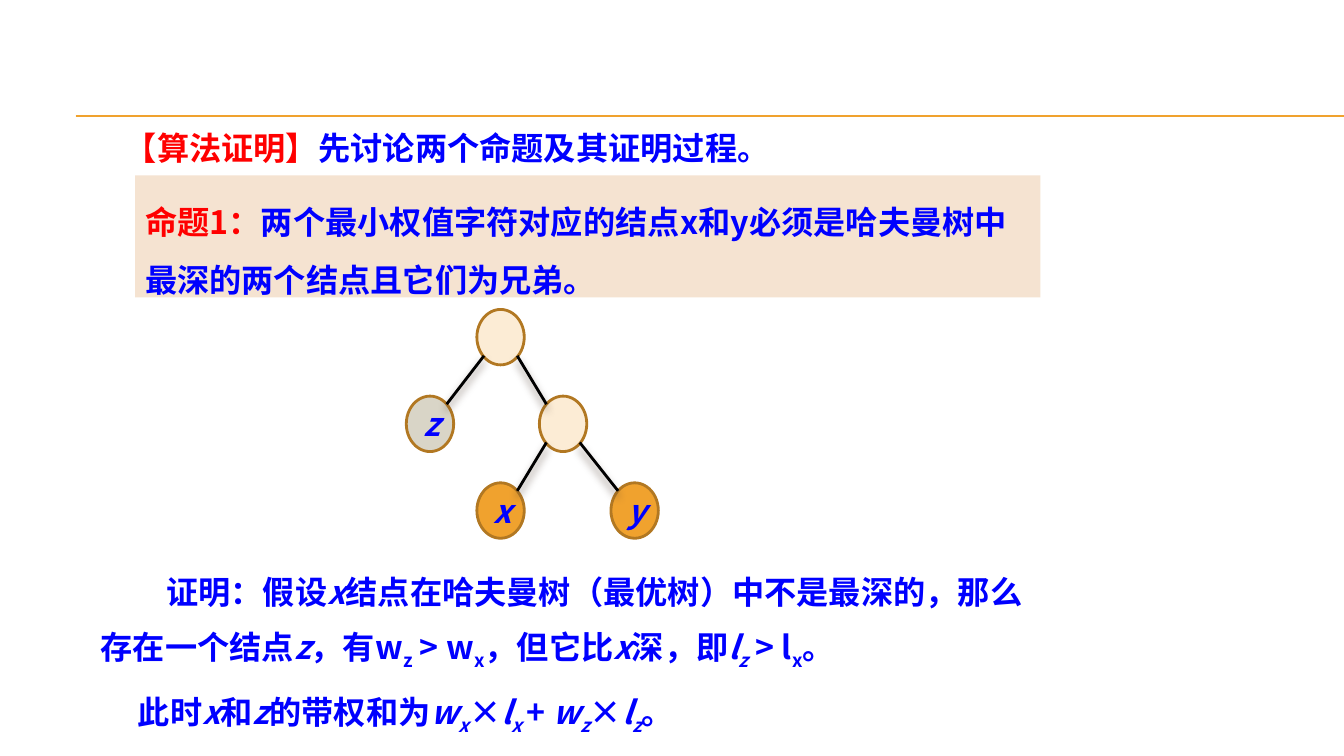
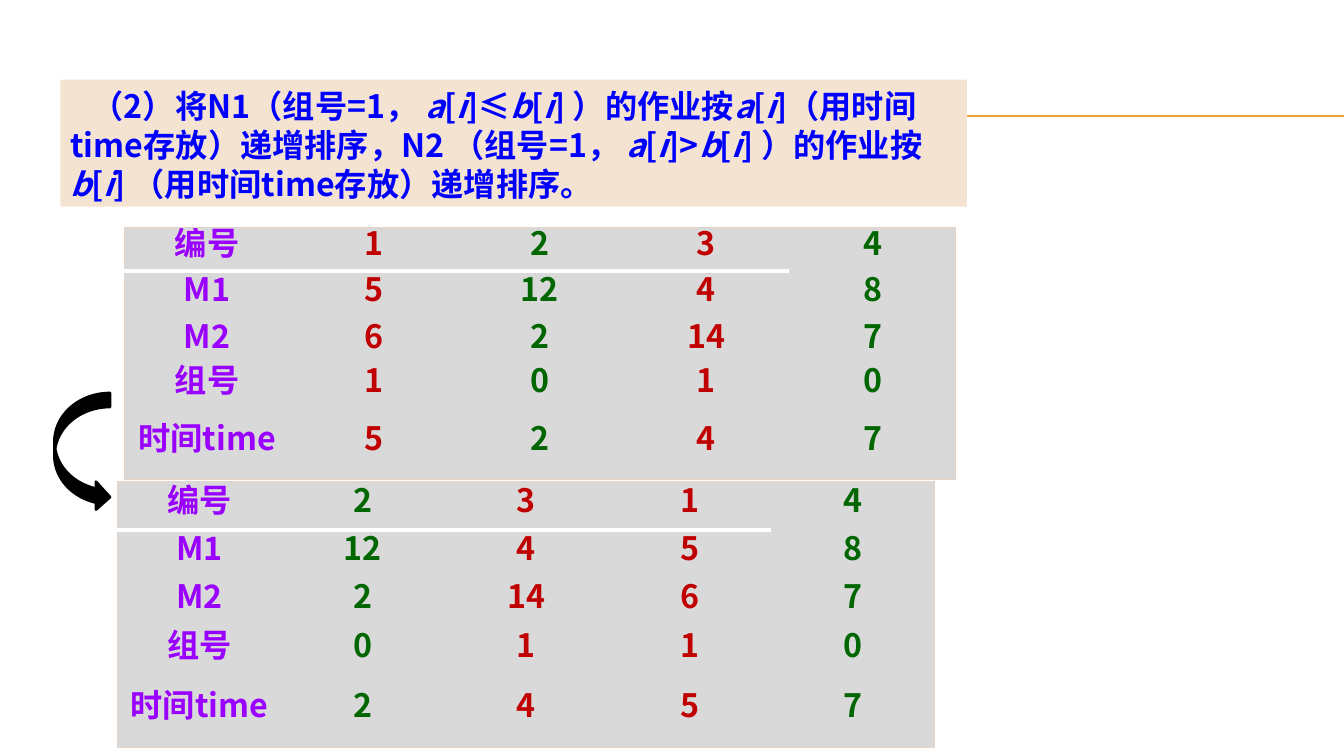
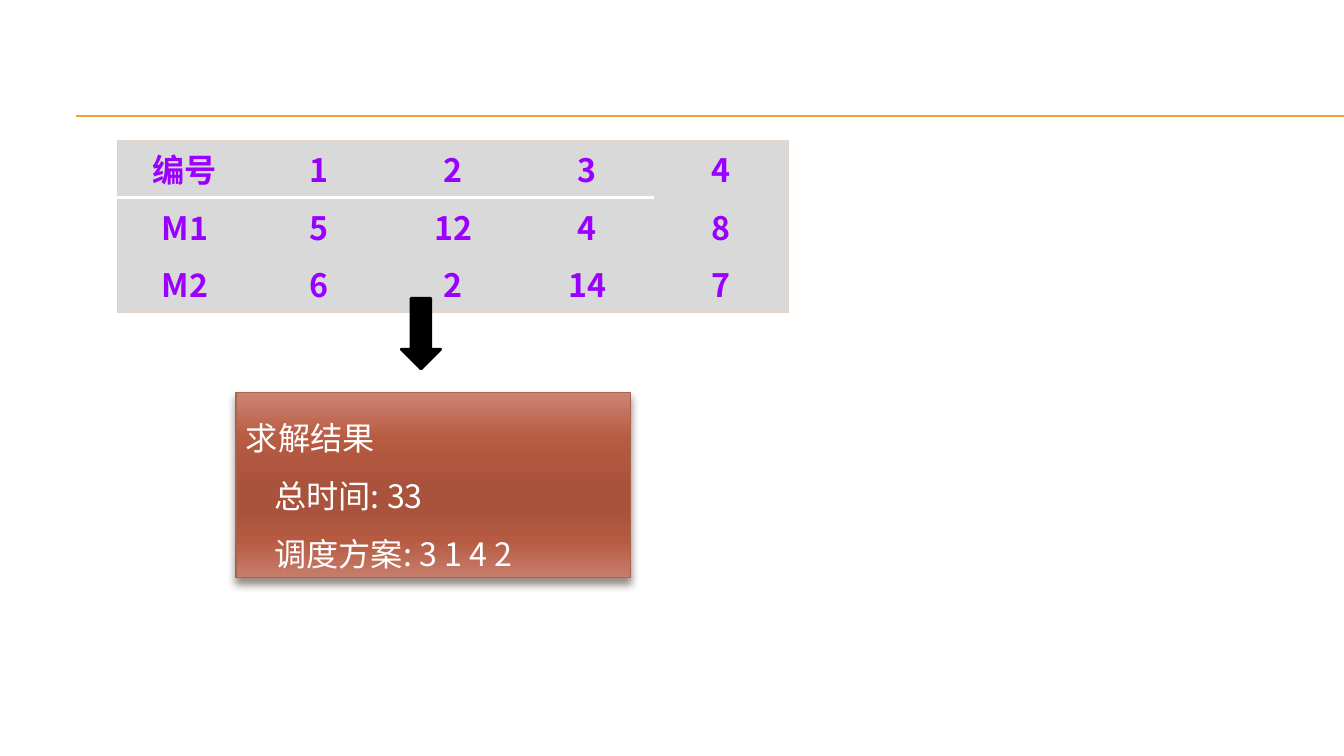
"""Build three slides on Huffman tree proofs and two-machine job scheduling."""
from lxml.etree import SubElement
from pptx import Presentation
from pptx.dml.color import RGBColor
from pptx.enum.shapes import MSO_CONNECTOR, MSO_SHAPE
from pptx.enum.text import MSO_ANCHOR, PP_ALIGN
from pptx.oxml.ns import qn
from pptx.util import Inches, Pt


class Theme:
    font = "Noto Sans CJK SC"
    size = Pt(23)
    line_tight, line_open, line_wide, line_table = Pt(27.6), Pt(41.4), Pt(43), Pt(22)
    accent = RGBColor.from_string("F0A22E")
    outline = RGBColor.from_string("B27822")
    cream = RGBColor.from_string("FCECD5")
    sand = RGBColor.from_string("F5E3D1")
    stone = RGBColor.from_string("D9D5C7")
    gray = RGBColor.from_string("D9D9D9")
    black = RGBColor.from_string("000000")
    white = RGBColor.from_string("FFFFFF")
    blue = RGBColor.from_string("0000FF")
    red = RGBColor.from_string("FF0000")
    purple = RGBColor.from_string("9900FF")
    crimson = RGBColor.from_string("C00000")
    green = RGBColor.from_string("006600")
    brick = RGBColor.from_string("A5644E")
    shadow = "4E3B30"
    table_edge = "E4D4C8"
    header_rule = "FFFFFF"
    brick_stops = {0: "CD8473", 25: "B75B42", 50: "AA533C", 65: "AA533C", 80: "B65B42", 100: "C77D6B"}
    no_table_style = "{2D5ABB26-0587-4C30-8999-92F81FD0307C}"


def write_text(frame, paragraphs, colour=Theme.blue, bold=True, anchor=MSO_ANCHOR.TOP, top=0.07):
    frame.word_wrap = True
    frame.vertical_anchor = anchor
    frame.margin_top = Inches(top)
    for index, (spans, layout, indent) in enumerate(paragraphs):
        para = frame.add_paragraph() if index else frame.paragraphs[0]
        for name, value in layout.items():
            setattr(para, name, value)
        if indent:
            para._p.get_or_add_pPr().set("indent", str(Inches(indent)))
        for text, style in spans:
            span = para.add_run()
            span.text = text
            formats = {"name": Theme.font, "size": Theme.size, "bold": bold, "italic": "i" in style}
            for name, value in formats.items():
                setattr(span.font, name, value)
            span.font.color.rgb = Theme.red if "r" in style else colour
            properties = span._r.get_or_add_rPr()
            SubElement(properties, qn("a:ea"), typeface=Theme.font)
            if "s" in style:
                properties.set("baseline", "-25000")


def add_grid(page, left, top, column_width, row_heights, rows, colours, line_spacing):
    last_row, last_column = len(rows) - 1, len(colours) - 1
    frame = page.shapes.add_table(
        len(rows), len(colours), Inches(left), Inches(top),
        Inches(column_width * len(colours)), Inches(sum(row_heights)))
    table = frame.table
    table.first_row = table.horz_banding = False
    table._tbl.tblPr.find(qn("a:tableStyleId")).text = Theme.no_table_style
    for column in table.columns:
        column.width = Inches(column_width)
    for r, (height, values) in enumerate(zip(row_heights, rows)):
        table.rows[r].height = Inches(height)
        for c, (value, colour) in enumerate(zip(values, colours)):
            cell = table.cell(r, c)
            layout = {"alignment": PP_ALIGN.CENTER, "line_spacing": line_spacing}
            write_text(cell.text_frame, [([(value, "")], layout, 0)], colour, top=0.05)
            cell.vertical_anchor = MSO_ANCHOR.MIDDLE
            borders = {}
            if c == 0:
                borders["a:lnL"] = (Theme.table_edge, 0.79)
            if c == last_column:
                borders["a:lnR"] = (Theme.table_edge, 0.79)
            if r == 0:
                borders["a:lnT"] = (Theme.table_edge, 0.79)
            if r == last_row:
                borders["a:lnB"] = (Theme.table_edge, 0.79)
            if r == 0 and c < last_column:
                borders["a:lnB"] = (Theme.header_rule, 3)
            properties = cell._tc.get_or_add_tcPr()
            for tag, (edge_colour, width) in borders.items():
                edge = SubElement(properties, qn(tag), w=str(Pt(width)))
                SubElement(SubElement(edge, qn("a:solidFill")), qn("a:srgbClr"), val=edge_colour)
            cell.fill.solid()
            cell.fill.fore_color.rgb = Theme.gray


deck = Presentation()
deck.slide_width, deck.slide_height = Inches(13.33), Inches(7.5)
pages = [deck.slides.add_slide(deck.slide_layouts[6]) for _ in range(3)]
proof_page, sort_page, result_page = pages

for page in pages:
    for y in (1.15, 1.16):
        rule = page.shapes.add_connector(
            MSO_CONNECTOR.STRAIGHT, Inches(0.75), Inches(y), Inches(13.33), Inches(y))
        rule.line.color.rgb = Theme.accent
        rule.line.width = Pt(0.75)
        SubElement(rule.element.spPr, qn("a:effectLst"))

tight = {"line_spacing": Theme.line_tight}
open_lines = {"line_spacing": Theme.line_open}
wide = {"line_spacing": Theme.line_wide}

heading = proof_page.shapes.add_textbox(Inches(1.14), Inches(1.2), Inches(8.35), Inches(0.49))
write_text(heading.text_frame, [
    ([("【算法证明】", "r"), ("先讨论两个命题及其证明过程。", "")], tight, 0)])

panels = [
    (proof_page, (1.34, 1.74, 8.98, 1.21), open_lines, 0, [
        ("命题1：", "r"),
        ("两个最小权值字符对应的结点x和y必须是哈夫曼树中最深的两个结点且它们为兄弟。", "")]),
    (sort_page, (0.6, 0.79, 8.99, 1.26), tight, 0.21, [
        ("（2）将N1（组号=1，", ""), (" a", "i"), ("[", ""), ("i", "i"), ("]≤", ""),
        ("b", "i"), ("[", ""), ("i", "i"), ("] ）的作业按", ""),
        ("a", "i"), ("[", ""), ("i", "i"), ("]（用时间time存放）递增排序，N2 （组号=1，", ""),
        (" a", "i"), ("[", ""), ("i", "i"), ("]>", ""),
        ("b", "i"), ("[", ""), ("i", "i"), ("] ）的作业按", ""),
        ("b", "i"), ("[", ""), ("i", "i"), ("] （用时间time存放）递增排序。", "")]),
]
for page, bounds, layout, indent, spans in panels:
    panel = page.shapes.add_shape(MSO_SHAPE.RECTANGLE, *map(Inches, bounds))
    panel.shadow.inherit = False
    panel.fill.solid()
    panel.fill.fore_color.rgb = Theme.sand
    panel.line.fill.background()
    write_text(panel.text_frame, [(spans, {"alignment": PP_ALIGN.LEFT, **layout}, indent)])

proof = proof_page.shapes.add_textbox(Inches(0.9), Inches(5.39), Inches(9.45), Inches(1.84))
write_text(proof.text_frame, [
    ([("证明：假设", ""), ("x", "i"), ("结点在哈夫曼树（最优树）中不是最深的，那么存在一个结点", ""),
      ("z", "i"), ("，有w", ""), ("z", "s"), (" > w", ""), ("x", "s"), ("，但它比", ""),
      ("x", "i"), ("深，即", ""), ("l", "i"), ("z", "is"), (" > l", ""), ("x", "s"), ("。", "")],
     wide, 0.65),
    ([("此时", ""), ("x", "i"), ("和", ""), ("z", "i"), ("的带权和为", ""),
      ("w", "i"), ("x", "is"), ("×", ""), ("l", "i"), ("x ", "is"), ("+ ", ""),
      ("w", "i"), ("z", "is"), ("×", ""), ("l", "i"), ("z", "is"), ("。", "")],
     {"space_before": Pt(4), **wide}, 0.37)])

nodes = [
    (4.73, 3.07, Theme.cream, ""), (4.03, 3.93, Theme.stone, "z"), (5.35, 3.93, Theme.cream, ""),
    (4.73, 4.79, Theme.accent, "x"), (6.06, 4.79, Theme.accent, "y")]
for left, top, colour, label in nodes:
    node = proof_page.shapes.add_shape(
        MSO_SHAPE.OVAL, Inches(left), Inches(top), Inches(0.47), Inches(0.55))
    node.shadow.inherit = False
    node.fill.solid()
    node.fill.fore_color.rgb = colour
    node.line.color.rgb = Theme.outline
    node.line.width = Pt(2)
    if label:
        write_text(node.text_frame, [([(label, "i")], {"alignment": PP_ALIGN.CENTER}, 0)],
                   anchor=MSO_ANCHOR.MIDDLE, top=0.05)

shadowed = []
for ends in ((4.8, 3.53, 4.43, 4.01), (5.13, 3.53, 5.42, 4.01),
             (5.42, 4.39, 5.13, 4.87), (5.75, 4.39, 6.13, 4.87)):
    branch = proof_page.shapes.add_connector(MSO_CONNECTOR.STRAIGHT, *map(Inches, ends))
    branch.line.color.rgb = Theme.black
    branch.line.width = Pt(2)
    shadowed.append(branch)

add_grid(sort_page, 1.23, 2.26, 1.65, [0.43, 0.48, 0.45, 0.43, 0.43], [
    ["编号", "1", "2", "3", "4"],
    ["M1", "5", "12", "4", "8"],
    ["M2", "6", "2", "14", "7"],
    ["组号", "1", "0", "1", "0"],
    ["时间time", "5", "2", "4", "7"],
], [Theme.purple, Theme.crimson, Theme.green, Theme.crimson, Theme.green], Theme.line_table)
add_grid(sort_page, 1.17, 4.78, 1.62, [0.48] * 5, [
    ["编号", "2", "3", "1", "4"],
    ["M1", "12", "4", "5", "8"],
    ["M2", "2", "14", "6", "7"],
    ["组号", "0", "1", "1", "0"],
    ["时间time", "2", "4", "5", "7"],
], [Theme.purple, Theme.green, Theme.crimson, Theme.crimson, Theme.green], Theme.line_table)
add_grid(result_page, 1.17, 1.39, 1.33, [0.57] * 3, [
    ["编号", "1", "2", "3", "4"],
    ["M1", "5", "12", "4", "8"],
    ["M2", "6", "2", "14", "7"],
], [Theme.purple] * 5, None)

result = result_page.shapes.add_shape(
    MSO_SHAPE.RECTANGLE, Inches(2.34), Inches(3.89), Inches(3.91), Inches(1.84))
result.fill.gradient()
result.fill.gradient_angle = 270
stops = result.element.spPr.find(".//" + qn("a:gsLst"))
stops.clear()
for position, colour in Theme.brick_stops.items():
    stop = SubElement(stops, qn("a:gs"), pos=str(position * 1000))
    SubElement(stop, qn("a:srgbClr"), val=colour)
result.line.color.rgb = Theme.brick
result.line.width = Pt(0.79)
left_open = {"alignment": PP_ALIGN.LEFT, **open_lines}
write_text(result.text_frame, [
    ([(text, "")], left_open, indent)
    for text, indent in (("求解结果", 0), ("总时间: 33", 0.28), ("调度方案: 3 1 4 2", 0.28))
], Theme.white, bold=False)
shadowed.append(result)

for item in shadowed:
    effects = SubElement(item.element.spPr, qn("a:effectLst"))
    shade = SubElement(effects, qn("a:outerShdw"), blurRad=str(Pt(6)), dist=str(Pt(4)),
                       dir="5400000", rotWithShape="0")
    tone = SubElement(shade, qn("a:srgbClr"), val=Theme.shadow)
    SubElement(tone, qn("a:alpha"), val="60000")

for page, preset, bounds in (
        (sort_page, MSO_SHAPE.CURVED_RIGHT_ARROW, (0.54, 3.9, 0.55, 1.17)),
        (result_page, MSO_SHAPE.DOWN_ARROW, (3.98, 2.96, 0.39, 0.7))):
    arrow = page.shapes.add_shape(preset, *map(Inches, bounds))
    arrow.shadow.inherit = False
    arrow.fill.solid()
    arrow.fill.fore_color.rgb = Theme.black
    arrow.line.color.rgb = Theme.black
    arrow.line.width = Pt(2)

deck.save("out.pptx")
